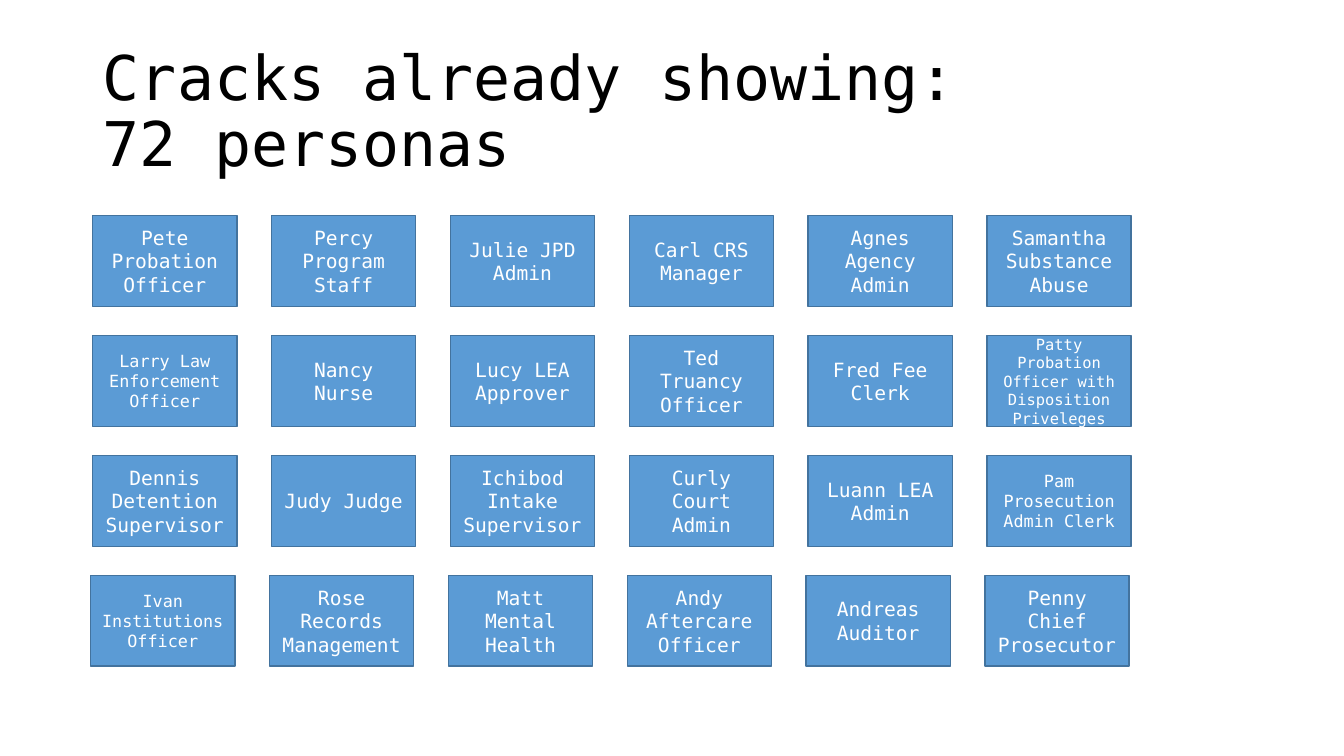
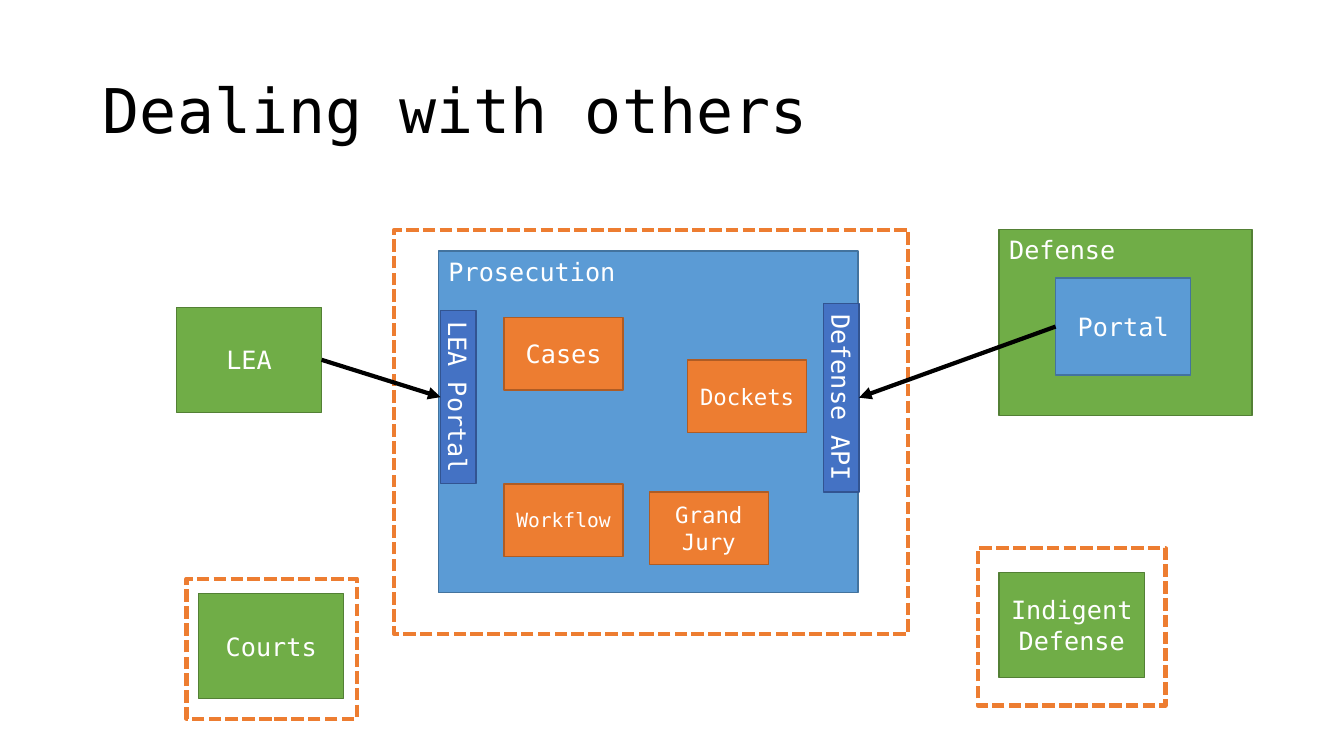
"""Build two slides: a grid of personas and a map of the parties around prosecution."""
from dataclasses import dataclass

from lxml.etree import SubElement
from pptx import Presentation
from pptx.dml.color import RGBColor
from pptx.enum.dml import MSO_LINE
from pptx.enum.shapes import MSO_CONNECTOR, MSO_SHAPE
from pptx.enum.text import MSO_ANCHOR, MSO_AUTO_SIZE, PP_ALIGN
from pptx.oxml.ns import qn
from pptx.util import Inches, Pt


@dataclass(frozen=True)
class Theme:
    font: str = "DejaVu Sans Mono"
    black: str = "000000"
    white: str = "FFFFFF"
    blue: tuple = ("5B9BD5", "43739E")
    navy: tuple = ("4472C4", "325491")
    green: tuple = ("70AD47", "538035")
    orange: tuple = ("ED7D31", "AF5C24")
    title_size: int = 44
    large: int = 18
    medium: int = 16
    normal: int = 14
    small: int = 12
    tiny: int = 11
    border: int = 1
    heavy: int = 3


theme = Theme()


def style_text(frame, size, color, align, anchor):
    frame.word_wrap = True
    frame.auto_size = MSO_AUTO_SIZE.NONE
    frame.vertical_anchor = anchor
    for para in frame.paragraphs:
        para.alignment = align
        for span in para.runs:
            span.font.name = theme.font
            span.font.size = Pt(size)
            span.font.color.rgb = RGBColor.from_string(color)


def add_box(page, place, label, colors, size, align=PP_ALIGN.CENTER, anchor=MSO_ANCHOR.MIDDLE):
    box = page.shapes.add_shape(MSO_SHAPE.RECTANGLE, *map(Inches, place))
    box.shadow.inherit = False
    fill, border = colors
    box.fill.solid()
    box.fill.fore_color.rgb = RGBColor.from_string(fill)
    box.line.color.rgb = RGBColor.from_string(border)
    box.line.width = Pt(theme.border)
    box.text_frame.text = label
    style_text(box.text_frame, size, theme.white, align, anchor)
    return box


deck = Presentation()
deck.slide_width, deck.slide_height = Inches(13.33), Inches(7.5)

layout = deck.slide_layouts.get_by_name("Title Only")
layout_title = layout.placeholders[0]
layout_title.left, layout_title.top = Inches(0.92), Inches(0.4)
layout_title.width, layout_title.height = Inches(11.5), Inches(1.45)

pages = []
for heading in ("Cracks already showing:\v72 personas", "Dealing with others"):
    page = deck.slides.add_slide(layout)
    frame = page.shapes.title.text_frame
    frame.text = heading
    frame.paragraphs[0].line_spacing = 0.9
    style_text(frame, theme.title_size, theme.black, PP_ALIGN.LEFT, MSO_ANCHOR.MIDDLE)
    pages.append(page)
personas_page, others_page = pages

personas = [
    ["Pete Probation Officer", "Percy Program Staff", "Julie JPD Admin",
     "Carl CRS Manager", "Agnes Agency Admin", "Samantha Substance Abuse"],
    ["Larry Law Enforcement Officer", "Nancy Nurse", "Lucy LEA Approver",
     "Ted Truancy Officer", "Fred Fee Clerk",
     "Patty Probation Officer with Disposition Priveleges"],
    ["Dennis Detention Supervisor", "Judy Judge", "Ichibod Intake Supervisor",
     "Curly Court Admin", "Luann LEA Admin", "Pam Prosecution Admin Clerk"],
    ["Ivan Institutions Officer", "Rose Records Management", "Matt Mental Health",
     "Andy Aftercare Officer", "Andreas Auditor", "Penny Chief Prosecutor"],
]
persona_sizes = {
    "Larry Law Enforcement Officer": theme.small,
    "Pam Prosecution Admin Clerk": theme.small,
    "Ivan Institutions Officer": theme.small,
    "Patty Probation Officer with Disposition Priveleges": theme.tiny,
}
first_left, last_left = 0.92, 9.79
column_step = (last_left - first_left) / (len(personas[0]) - 1)
row_step = 1.19
row_lefts = [first_left] * 3 + [0.9]
for row, (row_left, names) in enumerate(zip(row_lefts, personas)):
    for column, name in enumerate(names):
        place = (row_left + column * column_step, 2.14 + row * row_step, 1.43, 0.9)
        add_box(personas_page, place, name, theme.blue, persona_sizes.get(name, theme.normal))

for label, place, colors in [
    ("Prosecution", (4.35, 2.49, 4.16, 3.39), theme.blue),
    ("Defense", (9.91, 2.28, 2.51, 1.84), theme.green),
]:
    add_box(others_page, place, label, colors, theme.large, PP_ALIGN.LEFT, MSO_ANCHOR.TOP)

for label, left, top, size in [
    ("Cases", 5, 3.15, theme.large),
    ("Workflow", 5, 4.8, theme.normal),
    ("Dockets", 6.82, 3.57, theme.medium),
    ("Grand Jury", 6.44, 4.88, theme.medium),
]:
    add_box(others_page, (left, top, 1.18, 0.72), label, theme.orange, size)

parties = {}
for label, left, top in [
    ("LEA", 1.75, 3.05),
    ("Courts", 1.97, 5.89),
    ("Indigent Defense", 9.91, 5.68),
]:
    parties[label] = add_box(
        others_page, (left, top, 1.44, 1.04), label, theme.green, theme.large)

for place in [(3.91, 2.28, 5.1, 4.01), (9.7, 5.44, 1.86, 1.56), (1.85, 5.74, 1.69, 1.39)]:
    boundary = add_box(others_page, place, "", theme.orange, theme.large)
    boundary.fill.background()
    boundary.line.color.rgb = RGBColor.from_string(theme.orange[0])
    boundary.line.width = Pt(theme.heavy)
    boundary.line.dash_style = MSO_LINE.SQUARE_DOT

gateways = {}
for label, place in [
    ("LEA Portal", (4.37, 3.08, 0.35, 1.72)),
    ("Defense API", (8.17, 3.01, 0.35, 1.87)),
]:
    gateways[label] = add_box(others_page, place, label, theme.navy, theme.large)
    gateways[label].element.txBody.find(qn("a:bodyPr")).set("vert", "vert")

defense_portal = add_box(
    others_page, (10.47, 2.76, 1.34, 0.96), "Portal", theme.blue, theme.large)

left_side, right_side = 1, 3
for source, source_side, target, target_side in [
    (parties["LEA"], right_side, gateways["LEA Portal"], left_side),
    (defense_portal, left_side, gateways["Defense API"], right_side),
]:
    arrow = others_page.shapes.add_connector(MSO_CONNECTOR.STRAIGHT, 0, 0, 0, 0)
    arrow.begin_connect(source, source_side)
    arrow.end_connect(target, target_side)
    arrow.line.color.rgb = RGBColor.from_string(theme.black)
    arrow.line.width = Pt(theme.heavy)
    properties = arrow.element.spPr
    SubElement(properties.find(qn("a:ln")), qn("a:tailEnd"), type="triangle")
    SubElement(properties, qn("a:effectLst"))

deck.save("out.pptx")
